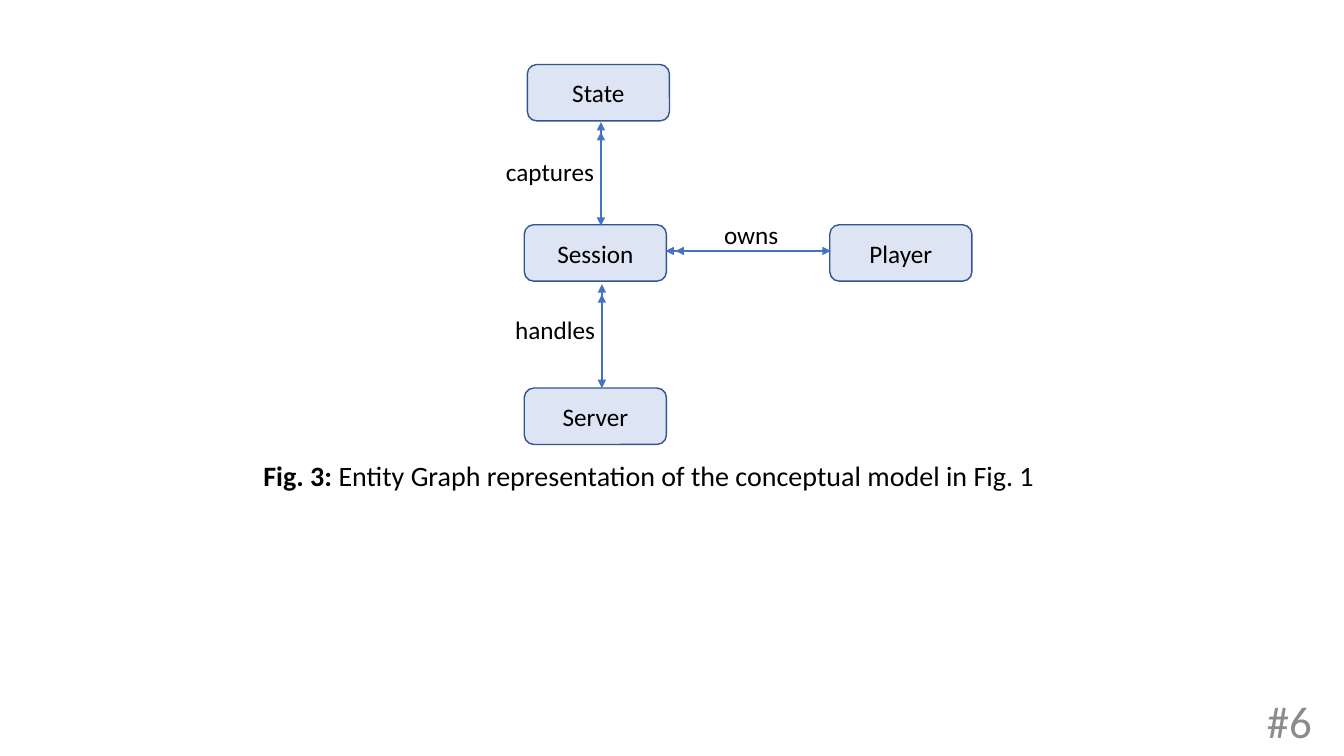
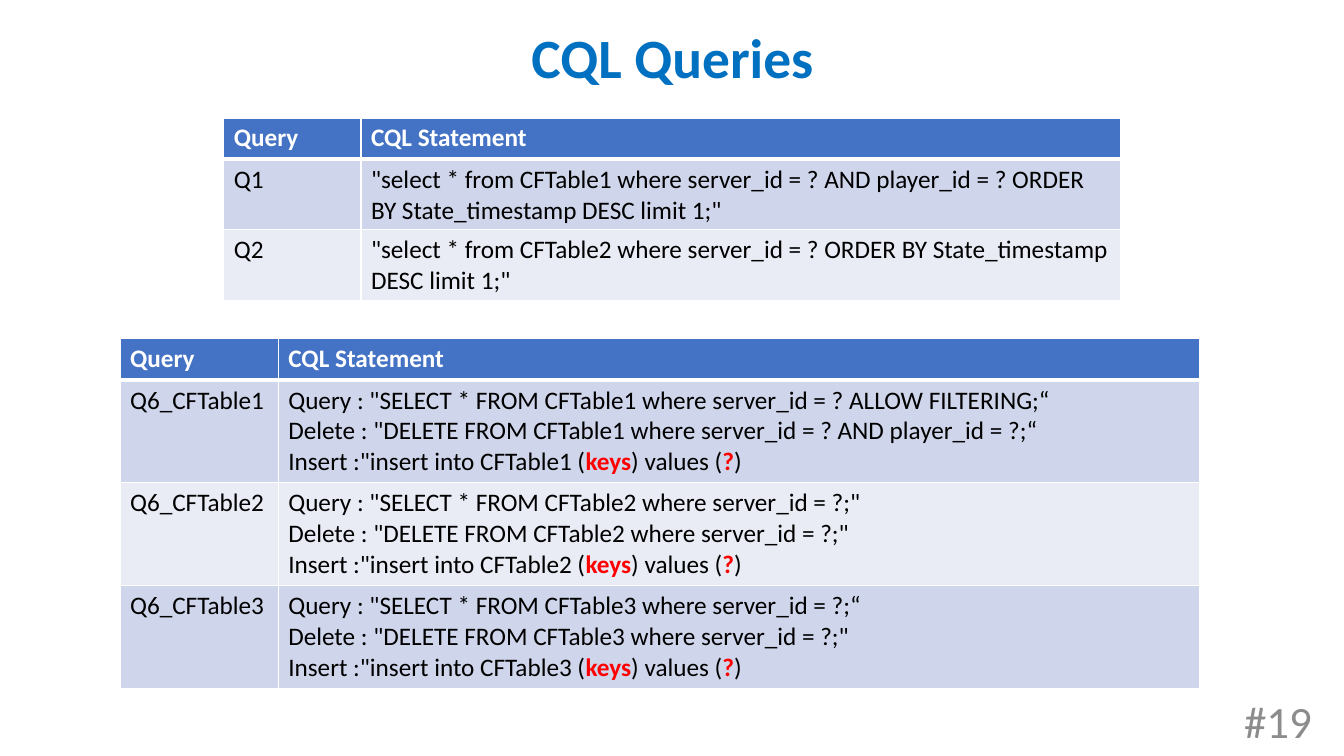
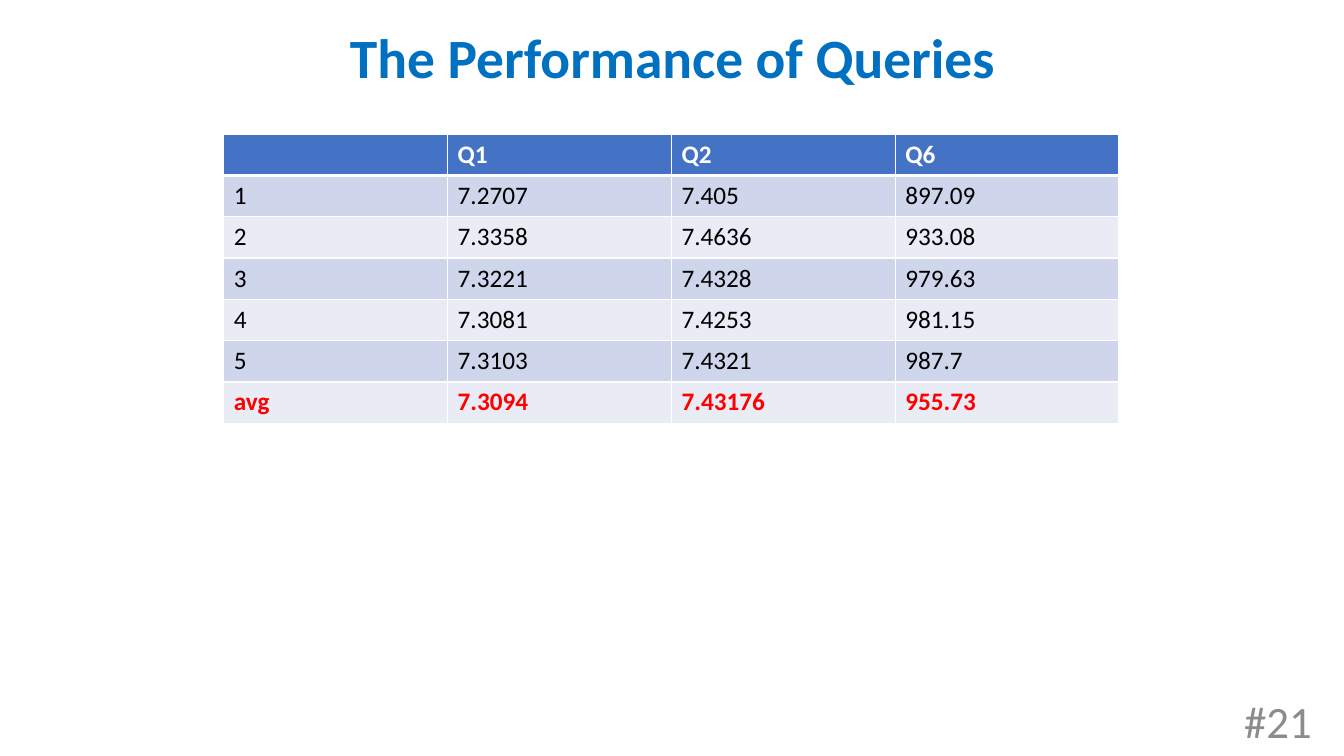
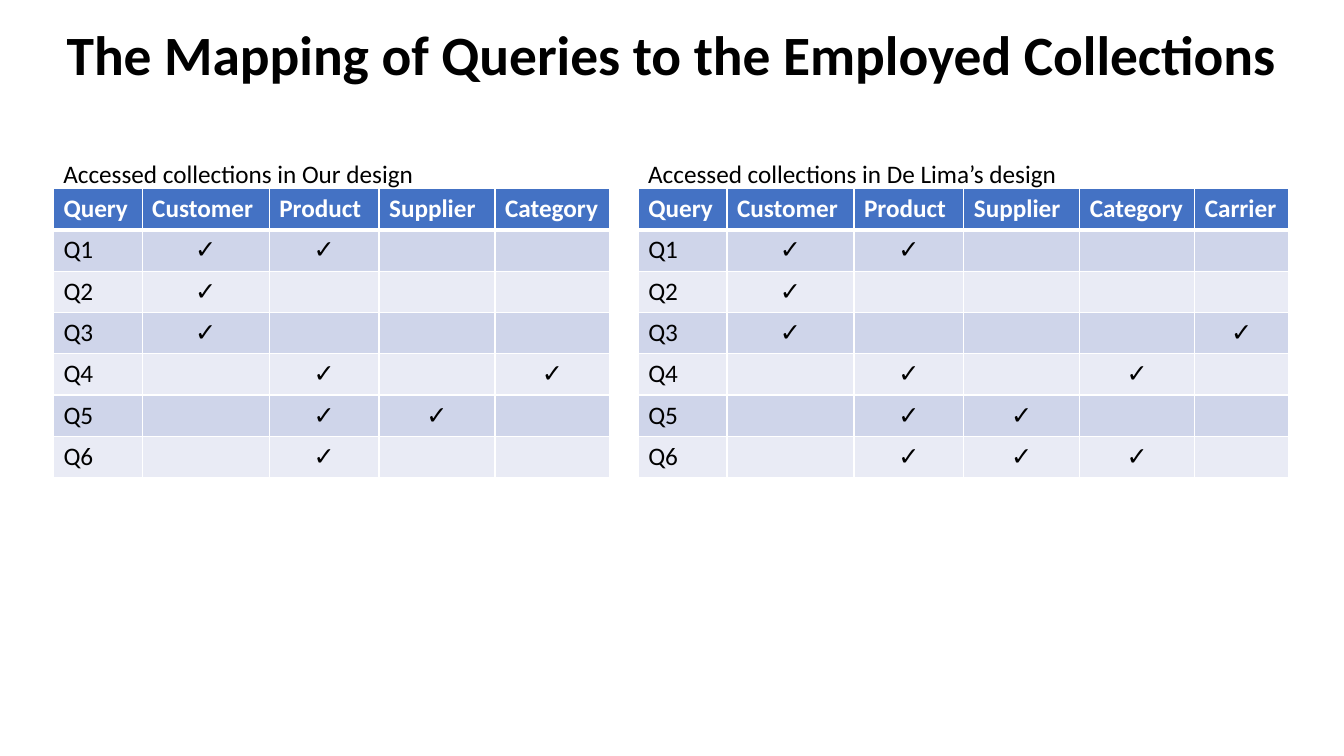
"""Build four slides on entity graphs, CQL queries and query mappings."""
from dataclasses import dataclass

from lxml import etree
from pptx import Presentation
from pptx.dml.color import RGBColor
from pptx.enum.shapes import MSO_CONNECTOR, MSO_SHAPE
from pptx.enum.text import MSO_ANCHOR, MSO_AUTO_SIZE, PP_ALIGN
from pptx.oxml.ns import qn
from pptx.util import Emu, Pt

PX = 9144
TITLE_ONLY = 5
ROUNDED = MSO_SHAPE.ROUNDED_RECTANGLE
STRAIGHT = MSO_CONNECTOR.STRAIGHT
TOP, MIDDLE = MSO_ANCHOR.TOP, MSO_ANCHOR.MIDDLE
FIXED = MSO_AUTO_SIZE.NONE
LEFT, CENTER, RIGHT = PP_ALIGN.LEFT, PP_ALIGN.CENTER, PP_ALIGN.RIGHT
CHECK = "✓"
ROW = 41


@dataclass(frozen=True)
class Theme:
    """Colours, font and type sizes of the deck."""
    font: str = "Calibri"
    ink: str = "000000"
    white: str = "FFFFFF"
    heading: str = "0070C0"
    accent: str = "4472C4"
    outline: str = "325491"
    alert: str = "FF0000"
    muted: str = "8C8C8C"
    bands: tuple = ("E9EBF5", "CFD5EA")
    title_size: float = 39.6
    caption_size: int = 20
    text_size: int = 18
    number_size: int = 32


def px(length):
    """Turn px into EMU."""
    return Emu(length * PX)


def rgb(code):
    """Turn a hex code into a colour."""
    return RGBColor.from_string(code)


class Deck:
    """Holds the style and the current slide, and draws on it."""

    def __init__(self, theme):
        """Start an empty wide presentation."""
        self.theme = theme
        self.prs = Presentation()
        self.prs.slide_width, self.prs.slide_height = px(1333), px(750)
        self.slide = None

    def new_slide(self, number=None):
        """Add a slide, with its number if it shows one."""
        self.slide = self.prs.slides.add_slide(self.prs.slide_layouts[TITLE_ONLY])
        if number:
            self.label(1011, 695, 300, f"#{number}", RIGHT, self.theme.number_size,
                       self.theme.muted, MIDDLE)

    def style(self, font, size, color, bold):
        """Set a font."""
        font.name, font.size, font.bold = self.theme.font, Pt(size), bold
        font.color.rgb = rgb(color)

    def put_text(self, paragraph, text, size, color, bold=False, accent=None):
        """Fill a paragraph, accenting every second part between bars."""
        parts = [(part, i % 2 == 1) for i, part in enumerate(text.split("|")) if part]
        for part, accented in parts:
            run = paragraph.add_run()
            run.text = part
            font = paragraph.font if len(parts) == 1 else run.font
            self.style(font, size, accent if accented else color, accented or bold)

    def title(self, text, x, y, width, size=None, color=None, bold=True, spacing=0.9):
        """Fill and place the title placeholder."""
        title = self.slide.shapes.title
        title.left, title.top, title.width, title.height = map(px, (x, y, width, 67))
        frame = title.text_frame
        frame.auto_size, frame.word_wrap, frame.vertical_anchor = FIXED, True, MIDDLE
        paragraph = frame.paragraphs[0]
        paragraph.alignment, paragraph.line_spacing = CENTER, spacing
        color = color or self.theme.ink
        self.put_text(paragraph, text, size or self.theme.title_size, color, bold, color)

    def label(self, x, y, width, text, align=CENTER, size=None, color=None, anchor=TOP):
        """Add a one-line text box."""
        frame = self.slide.shapes.add_textbox(*map(px, (x, y, width, 40))).text_frame
        frame.word_wrap, frame.vertical_anchor = True, anchor
        frame.paragraphs[0].alignment = align
        self.put_text(frame.paragraphs[0], text, size or self.theme.text_size,
                      color or self.theme.ink)

    def entity(self, x, y, text):
        """Add a translucent rounded box with a name."""
        box = self.slide.shapes.add_shape(ROUNDED, *map(px, (x, y, 141, 56)))
        box.shadow.inherit = False
        box.fill.solid()
        box.fill.fore_color.rgb = rgb(self.theme.accent)
        color = box._element.spPr.find(qn("a:solidFill"))[0]
        etree.SubElement(color, qn("a:alpha"), val="18000")
        box.line.color.rgb, box.line.width = rgb(self.theme.outline), Pt(1)
        frame = box.text_frame
        frame.vertical_anchor = MIDDLE
        frame.paragraphs[0].alignment = CENTER
        self.put_text(frame.paragraphs[0], text, self.theme.text_size, self.theme.ink)

    def arrow(self, start, end, ends):
        """Add an arrow with heads at the given ends."""
        line = self.slide.shapes.add_connector(STRAIGHT, *map(px, start + end))
        line.line.color.rgb, line.line.width = rgb(self.theme.accent), Pt(1.5)
        outline = line._element.spPr.find(qn("a:ln"))
        for tag in ends:
            etree.SubElement(outline, qn(f"a:{tag}"), type="triangle")
        etree.SubElement(line._element.spPr, qn("a:effectLst"))

    def relation(self, one, many):
        """Join two entities, with a doubled arrowhead at the many end."""
        self.arrow(one, many, ("headEnd", "tailEnd"))
        signs = [(a > b) - (a < b) for a, b in zip(one, many)]
        outer, inner = (tuple(m + s * gap for m, s in zip(many, signs)) for gap in (50, 10))
        self.arrow(outer, inner, ("tailEnd",))

    def borders(self, cell, **widths):
        """Draw white cell borders, 1 pt unless given."""
        properties = cell._tc.get_or_add_tcPr()
        for place, side in enumerate("LRTB"):
            line = etree.Element(qn(f"a:ln{side}"), w=str(int(Pt(widths.get(side, 1)))))
            fill = etree.SubElement(line, qn("a:solidFill"))
            etree.SubElement(fill, qn("a:srgbClr"), val=self.theme.white)
            properties.insert(place, line)

    def table(self, x, y, widths, heights, rows):
        """Add a banded table whose first row is the header."""
        grid = self.slide.shapes.add_table(
            len(rows), len(widths), *map(px, (x, y, sum(widths), sum(heights)))).table
        for column, width in zip(grid.columns, widths):
            column.width = px(width)
        for r, (height, row) in enumerate(zip(heights, rows)):
            grid.rows[r].height = px(height)
            for c, text in enumerate(row):
                self.fill_cell(grid.cell(r, c), text, r)

    def fill_cell(self, cell, text, row):
        """Colour a cell and fill in its lines."""
        theme, header = self.theme, row == 0
        cell.fill.solid()
        cell.fill.fore_color.rgb = rgb(theme.accent if header else theme.bands[row % 2])
        self.borders(cell, **({"B": 3} if header else {"T": 3} if row == 1 else {}))
        for i, line in enumerate(text.split("\n")):
            frame = cell.text_frame
            paragraph = frame.add_paragraph() if i else frame.paragraphs[0]
            paragraph.alignment = CENTER if line == CHECK else LEFT
            self.put_text(paragraph, line, theme.text_size,
                          theme.white if header else theme.ink, header, theme.alert)


def entity_graph(deck):
    """Draw the entity graph."""
    deck.new_slide(6)
    for x, y, name in ((520, 223, "Session"), (520, 385, "Server"),
                       (523, 64, "State"), (823, 223, "Player")):
        deck.entity(x, y, name)
    for one, many in (((596, 224), (596, 121)), ((597, 385), (597, 282)),
                      ((824, 249), (660, 249))):
        deck.relation(one, many)
    for x, y, width, name in ((679, 213, 132, "owns"), (476, 307, 149, "handles"),
                              (471, 150, 149, "captures")):
        deck.label(x, y, width, name)
    deck.title("|Fig. 3: |Entity Graph representation of the conceptual model in Fig. 1",
               142, 440, 1003, deck.theme.caption_size, bold=False)


def cql_queries(deck):
    """List the CQL statements."""
    deck.new_slide(19)
    deck.title("CQL Queries", 92, 29, 1150, color=deck.theme.heading, spacing=0.8)
    header = ("Query", "CQL Statement")
    deck.table(222, 117, (136, 753), (ROW, 70, 70), (
        header,
        ("Q1", '"select * from CFTable1 where server_id = ? AND player_id = ? '
               'ORDER BY State_timestamp DESC limit 1;"'),
        ("Q2", '"select * from CFTable2 where server_id = ? '
               'ORDER BY State_timestamp DESC limit 1;"')))
    endings = (("CFTable1", " ALLOW FILTERING;“", " AND player_id = ?;“"),
               ("CFTable2", ';"', ';"'),
               ("CFTable3", ";“", ';"'))
    statements = [
        (f"Q6_{family}",
         f'Query : "SELECT * FROM {family} where server_id = ?{query_end}\n'
         f'Delete : "DELETE FROM {family} where server_id = ?{delete_end}\n'
         f'Insert :"insert into {family} (|keys|) values (|?|)')
        for family, query_end, delete_end in endings]
    deck.table(119, 336, (157, 914), (ROW, 102, 102, 102), [header, *statements])


def query_performance(deck):
    """Tabulate the run times."""
    deck.new_slide(21)
    deck.title("The Performance of Queries", 92, 29, 1150,
               color=deck.theme.heading, spacing=0.8)
    deck.table(222, 133, (222,) * 4, (ROW,) * 7, (
        ("", "Q1", "Q2", "Q6"),
        ("1", "7.2707", "7.405", "897.09"),
        ("2", "7.3358", "7.4636", "933.08"),
        ("3", "7.3221", "7.4328", "979.63"),
        ("4", "7.3081", "7.4253", "981.15"),
        ("5", "7.3103", "7.4321", "987.7"),
        ("|avg|", "|7.3094|", "|7.43176|", "|955.73|")))


def query_mapping(deck):
    """Compare the collections that each design accesses."""
    deck.new_slide()
    deck.title("The Mapping of Queries to the Employed Collections", 33, 24, 1266)
    collections = {"Customer": 126, "Product": 109, "Supplier": 115,
                   "Category": 114, "Carrier": 93}
    designs = (
        (53, "Our", 4, ("Customer Product", "Customer", "Customer",
                        "Product Category", "Product Supplier", "Product")),
        (633, "De Lima’s", 5, ("Customer Product", "Customer", "Customer Carrier",
                               "Product Category", "Product Supplier",
                               "Product Supplier Category")))
    for x, owner, count, accessed in designs:
        names = list(collections)[:count]
        rows = [("Query", *names)]
        for i, used in enumerate(accessed, 1):
            rows.append((f"Q{i}", *(CHECK if name in used else "" for name in names)))
        widths = (88, *(collections[name] for name in names))
        deck.table(x, 187, widths, (ROW,) * len(rows), rows)
        deck.label(x, 152, 475, f"Accessed collections in {owner} design", LEFT)


def main():
    """Build and save the deck."""
    deck = Deck(Theme())
    for build in (entity_graph, cql_queries, query_performance, query_mapping):
        build(deck)
    deck.prs.save("out.pptx")


if __name__ == "__main__":
    main()
